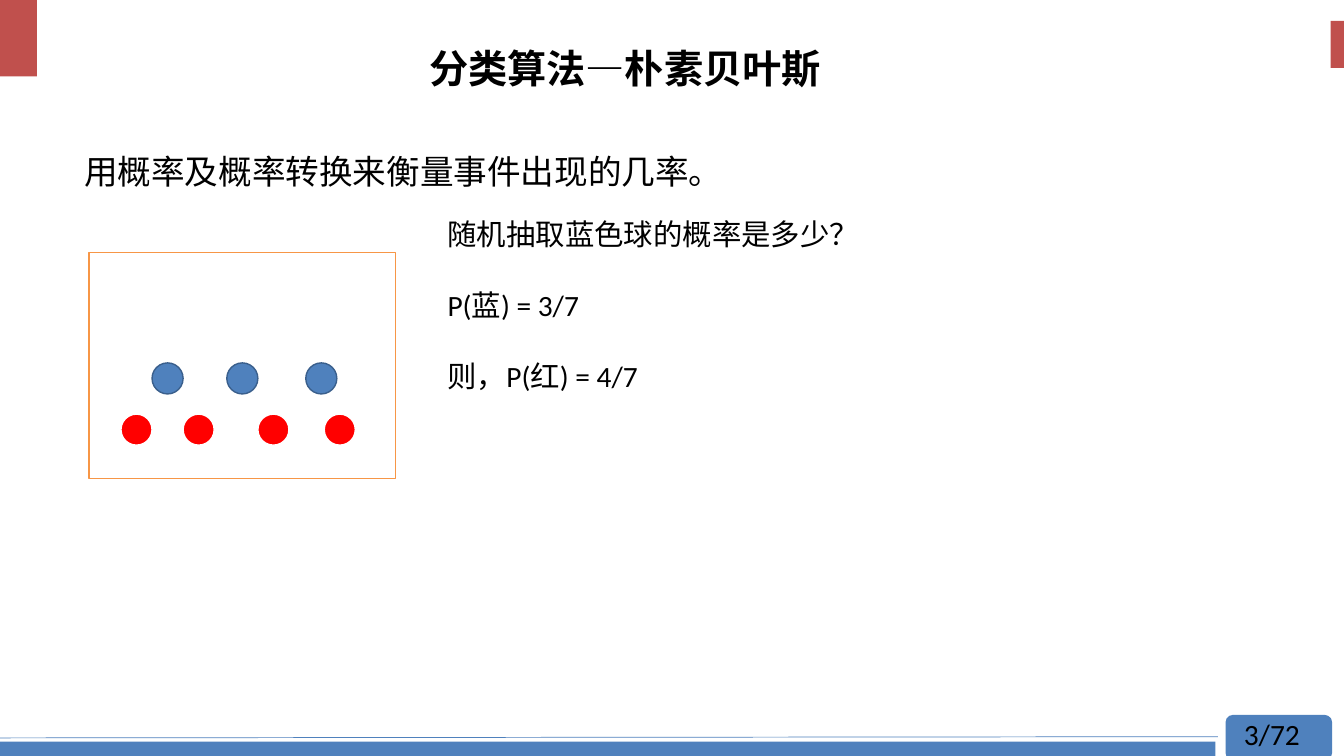
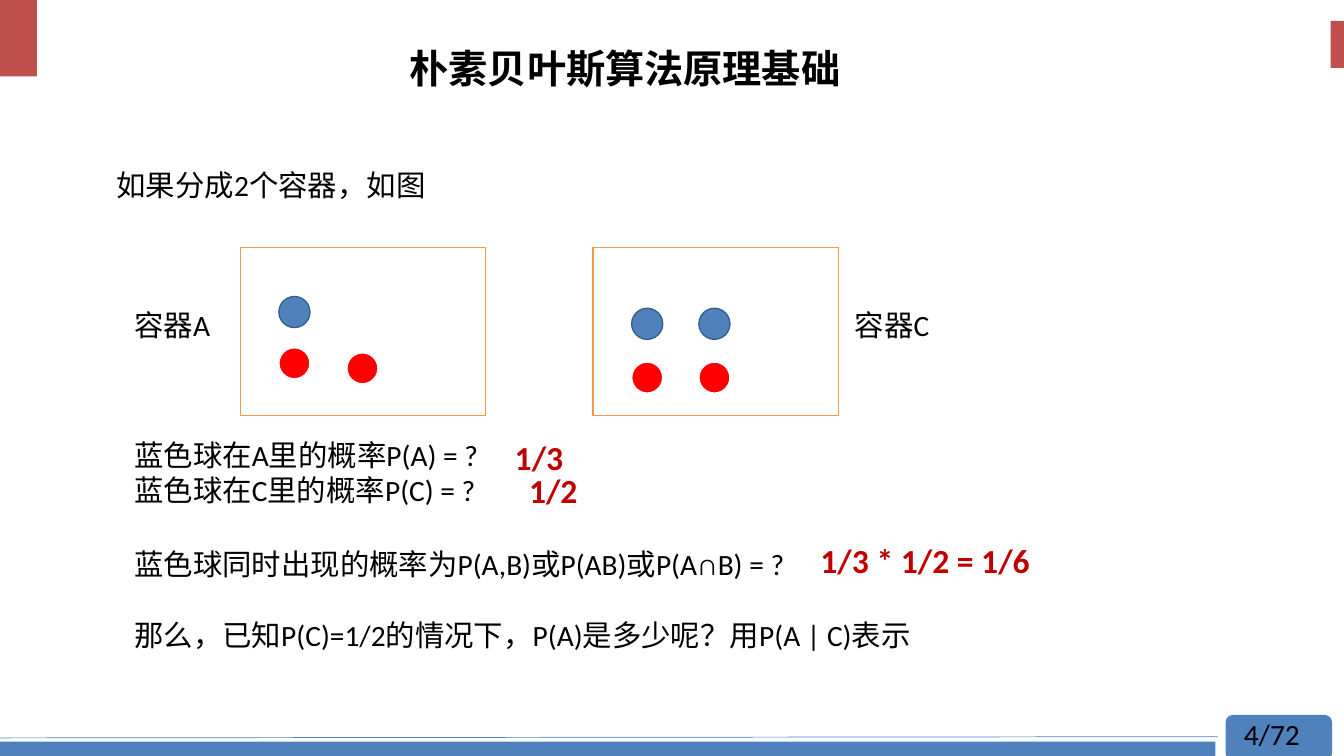
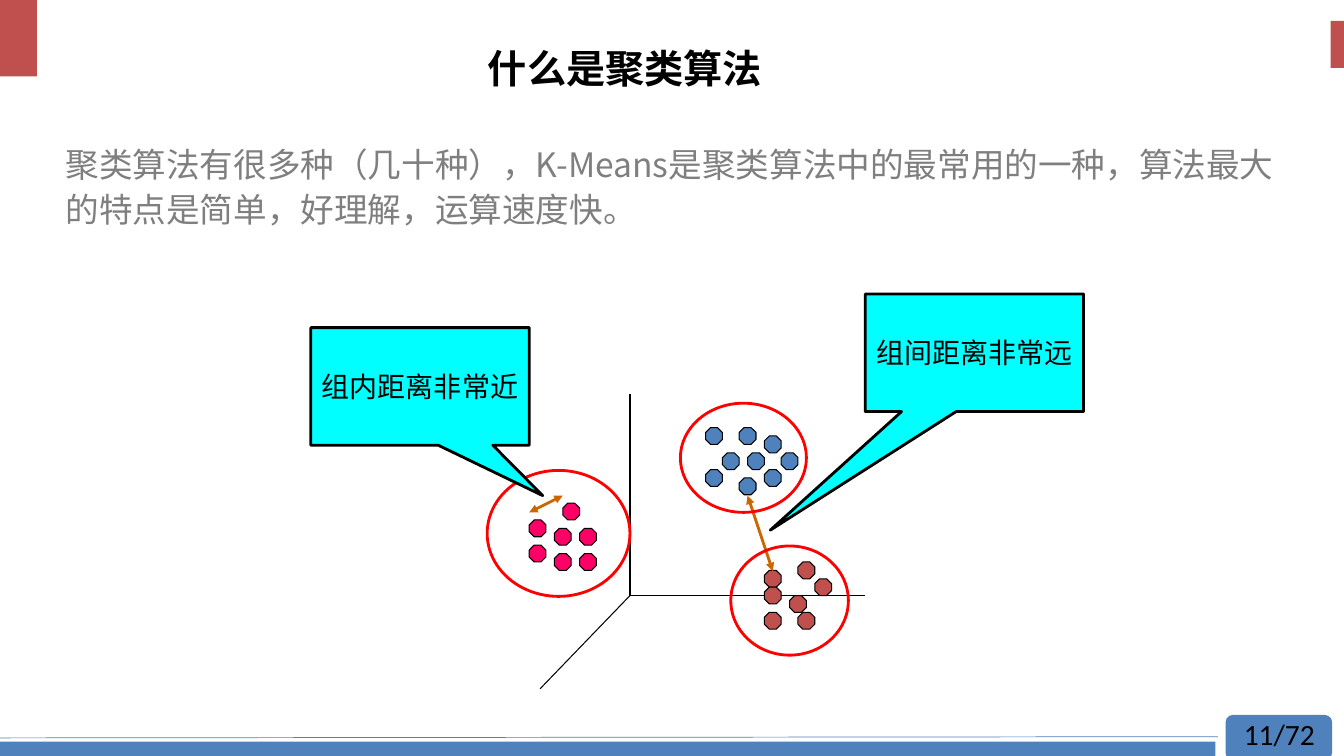
from lxml.etree import SubElement
from pptx import Presentation
from pptx.dml.color import RGBColor
from pptx.enum.shapes import MSO_CONNECTOR, MSO_SHAPE
from pptx.enum.text import MSO_ANCHOR, MSO_AUTO_SIZE, PP_ALIGN
from pptx.oxml.ns import qn
from pptx.util import Inches, Pt

# Colours
BLACK = RGBColor(0x00, 0x00, 0x00)
WHITE = RGBColor(0xFF, 0xFF, 0xFF)
GREY = RGBColor(0x7F, 0x7F, 0x7F)
BLUE = RGBColor(0x4F, 0x81, 0xBD)
BLUE_EDGE = RGBColor(0x3A, 0x5F, 0x8C)
BRICK = RGBColor(0xC0, 0x50, 0x4D)
ANSWER_RED = RGBColor(0xC0, 0x00, 0x00)
RED = RGBColor(0xFF, 0x00, 0x00)
PINK = RGBColor(0xFF, 0x00, 0x66)
ORANGE = RGBColor(0xF7, 0x96, 0x46)
BROWN = RGBColor(0xCC, 0x66, 0x00)
CYAN = RGBColor(0x00, 0xFF, 0xFF)

# Font formats
TITLE = {"name": "Noto Sans CJK SC", "size": Pt(28), "bold": True}
BODY = {"name": "Noto Sans CJK SC", "size": Pt(24), "bold": False}
TEXT = {"name": "Calibri", "size": Pt(21), "bold": False}
ANSWER = {"name": "Calibri", "size": Pt(24), "bold": True}
CALLOUT = {"name": "Cabin", "size": Pt(20), "bold": False}

# The slide is a grid of 160 columns by 90 rows
COLUMNS, ROWS = 160, 90
CELL = Inches(7.5) / ROWS
PAGE_COUNT = 72
BALL_SIZE = 3.7
POINT_SIZE = 2


def cells(*values):
    return [round(value * CELL) for value in values]


class Deck:
    """Holds the shared style and the current slide."""

    def __init__(self):
        self.presentation = Presentation()
        self.presentation.slide_width, self.presentation.slide_height = cells(COLUMNS, ROWS)
        self.slide = None

    def new_slide(self, title, page, body=None, body_at=None, body_color=BLACK):
        layout = self.presentation.slide_layouts[1 if body else 5]
        self.slide = self.presentation.slides.add_slide(layout)
        self.frame_decoration(page)
        if body:
            self.body(body, body_at, body_color)
        self.title(title)

    def frame_decoration(self, page):
        """Corner blocks, bottom band and page number."""
        self.shape(MSO_SHAPE.RECTANGLE, (0, 0, 4.4, 9.1), BRICK)
        self.shape(MSO_SHAPE.RECTANGLE, (158.4, 2.5, 1.6, 5.6), BRICK)
        self.shape(MSO_SHAPE.RECTANGLE, (0, 88.3, 144.7, 1.7), BLUE)
        self.shape(MSO_SHAPE.FLOWCHART_ALTERNATE_PROCESS, (145.9, 85.1, 12.7, 5.4), BLUE)
        self.line((0, 87.85), (145, 87.7), BLUE, 0.5)
        self.text([f"{page}/{PAGE_COUNT}"], (146.9, 84.6, 12.2, 5.4))

    def place(self, shape, box):
        shape.left, shape.top, shape.width, shape.height = cells(*box)

    def add_text(self, paragraph, text, style, color):
        run = paragraph.add_run()
        run.text = text
        for name, value in style.items():
            setattr(run.font, name, value)
        run.font.color.rgb = color
        # East Asian text takes the same typeface
        SubElement(run.font._element, qn("a:ea"), typeface=style["name"])

    def title(self, text):
        shape = self.slide.shapes.title
        self.place(shape, (20.4, 3.5, 108, 9.8))
        frame = shape.text_frame
        frame.auto_size = MSO_AUTO_SIZE.NONE
        frame.vertical_anchor = MSO_ANCHOR.MIDDLE
        paragraph = frame.paragraphs[0]
        paragraph.alignment = PP_ALIGN.CENTER
        paragraph.line_spacing = 0.9
        self.add_text(paragraph, text, TITLE, BLACK)

    def body(self, text, corner, color):
        shape = self.slide.placeholders[1]
        self.place(shape, (*corner, 146.6, 62))
        shape.text_frame.auto_size = MSO_AUTO_SIZE.NONE
        paragraph = shape.text_frame.paragraphs[0]
        paragraph.line_spacing = Pt(32)
        paragraph.space_before = Pt(10)
        properties = paragraph._p.get_or_add_pPr()
        properties.set("marL", "0")
        properties.set("indent", "0")
        SubElement(properties, qn("a:buNone"))
        self.add_text(paragraph, text, BODY, color)

    def text(self, lines, box, style=TEXT, color=BLACK, gaps=()):
        """One paragraph a line; gaps gives the points above the later ones."""
        frame = self.slide.shapes.add_textbox(*cells(*box)).text_frame
        frame.word_wrap = True
        for index, line in enumerate(lines):
            paragraph = frame.add_paragraph() if index else frame.paragraphs[0]
            if index:
                paragraph.space_before = Pt(gaps[index - 1])
            self.add_text(paragraph, line, style, color)

    def shape(self, kind, box, fill=None, edge=None, width=1.0):
        shape = self.slide.shapes.add_shape(kind, *cells(*box))
        shape.shadow.inherit = False
        if fill is None:
            shape.fill.background()
        else:
            shape.fill.solid()
            shape.fill.fore_color.rgb = fill
        if edge is None:
            shape.line.fill.background()
        else:
            shape.line.color.rgb = edge
            shape.line.width = Pt(width)
        return shape

    def line(self, start, end, color=BLACK, width=0.75, arrows=False):
        connector = self.slide.shapes.add_connector(
            MSO_CONNECTOR.STRAIGHT, *cells(*start, *end))
        connector.line.color.rgb = color
        connector.line.width = Pt(width)
        properties = connector._element.spPr
        if arrows:
            for tag in ("a:headEnd", "a:tailEnd"):
                SubElement(properties.find(qn("a:ln")), qn(tag), type="triangle")
        SubElement(properties, qn("a:effectLst"))

    def container(self, *box):
        self.shape(MSO_SHAPE.RECTANGLE, box, WHITE, ORANGE)

    def balls(self, corners, fill, edge):
        for left, top in corners:
            self.shape(MSO_SHAPE.OVAL, (left, top, BALL_SIZE, BALL_SIZE), fill, edge)

    def blue_balls(self, *corners):
        self.balls(corners, BLUE, BLUE_EDGE)

    def red_balls(self, *corners):
        self.balls(corners, RED, WHITE)

    def cluster(self, origin, offsets, fill):
        for column, row in offsets:
            box = (origin[0] + column, origin[1] + row, POINT_SIZE, POINT_SIZE)
            self.shape(MSO_SHAPE.OCTAGON, box, fill, BLACK, 0.75)

    def callout(self, text, corner, tip):
        shape = self.shape(MSO_SHAPE.RECTANGULAR_CALLOUT, (*corner, 26, 14), CYAN, BLACK, 2)
        shape.adjustments[0], shape.adjustments[1] = tip
        frame = shape.text_frame
        frame.margin_left = frame.margin_right = 0
        frame.vertical_anchor = MSO_ANCHOR.MIDDLE
        frame.paragraphs[0].alignment = PP_ALIGN.CENTER
        self.add_text(frame.paragraphs[0], text, CALLOUT, BLACK)


def probability_slide(deck):
    deck.new_slide("分类算法—朴素贝叶斯", 3,
                   "用概率及概率转换来衡量事件出现的几率。", (8.8, 16.8))
    deck.container(10.6, 30.1, 36.5, 26.9)
    deck.blue_balls(*((column, 43.2) for column in (18.1, 27, 36.4)))
    deck.red_balls(*((column, 49.3) for column in (14.4, 21.8, 30.7, 38.6)))
    deck.text(["随机抽取蓝色球的概率是多少？", "P(蓝) = 3/7", "则，P(红) = 4/7"],
              (52.1, 25.1, 83.5, 39), gaps=(25.6, 25.6))


def container_slide(deck):
    deck.new_slide("朴素贝叶斯算法原理基础", 4)
    deck.text(["如果分成2个容器，如图"], (12.7, 19.3, 132.6, 5.4))

    # Containers with their balls and labels
    for left in (28.6, 70.6):
        deck.container(left, 29.5, 29.2, 20)
    deck.blue_balls((33.2, 35.3), (75.2, 36.7), (83.2, 36.7))
    deck.red_balls((33.2, 41.4), (41.3, 42), (75.2, 43.1), (83.2, 43.1))
    for label, left in (("容器A", 14.8), ("容器C", 100.6)):
        deck.text([label], (left, 36, 13.4, 5.4))

    # Questions and answers
    deck.text(["蓝色球在A里的概率P(A) = ?",
               "蓝色球在C里的概率P(C) = ?",
               "蓝色球同时出现的概率为P(A,B)或P(AB)或P(A∩B) = ?",
               "那么，已知P(C)=1/2的情况下，P(A)是多少呢？用P(A | C)表示"],
              (14.8, 51.4, 115.6, 31.4), gaps=(0, 28, 25.6))
    for answer, left, top, width in (("1/3", 60.1, 51.4, 11.4),
                                     ("1/2", 61.8, 55.4, 11.4),
                                     ("1/3 * 1/2 = 1/6", 96.5, 63.7, 37.2)):
        deck.text([answer], (left, top, width, 6), ANSWER, ANSWER_RED)


def clustering_slide(deck):
    deck.new_slide("什么是聚类算法", 11,
                   "聚类算法有很多种（几十种），K-Means是聚类算法中的最常用的一种，"
                   "算法最大的特点是简单，好理解，运算速度快。", (6.6, 16), GREY)

    # Axes
    origin = (75, 70.9)
    for end in ((75, 46.9), (103, 70.9), (64.3, 82)):
        deck.line(origin, end)

    # Points of the three groups
    deck.cluster((84, 50.9), [(2, 3), (5, 3), (4, 0), (4, 6), (9, 3),
                              (7, 1), (0, 0), (7, 5), (0, 5)], BLUE)
    deck.cluster((63, 59.9), [(0, 2), (3, 3), (3, 6), (6, 3),
                              (4, 0), (6, 6), (0, 5)], PINK)
    deck.cluster((91, 66.9), [(0, 1), (6, 2), (3, 4), (0, 6),
                              (4, 6), (0, 3), (4, 0)], BRICK)

    # Distance between groups, group outlines, distance within a group
    deck.line((92, 68), (89, 59), BROWN, 2, arrows=True)
    deck.callout("组间距离非常远", (103, 35), (-0.935, 1.509))
    for outline in ((58, 56, 17, 15), (81, 48, 15, 13), (87, 65, 14, 13)):
        deck.shape(MSO_SHAPE.OVAL, outline, edge=RED, width=2)
    deck.line((63, 61), (67, 59), BROWN, 2, arrows=True)
    deck.callout("组内距离非常近", (37, 39), (0.562, 0.929))


def main():
    deck = Deck()
    probability_slide(deck)
    container_slide(deck)
    clustering_slide(deck)
    deck.presentation.save("out.pptx")


if __name__ == "__main__":
    main()
